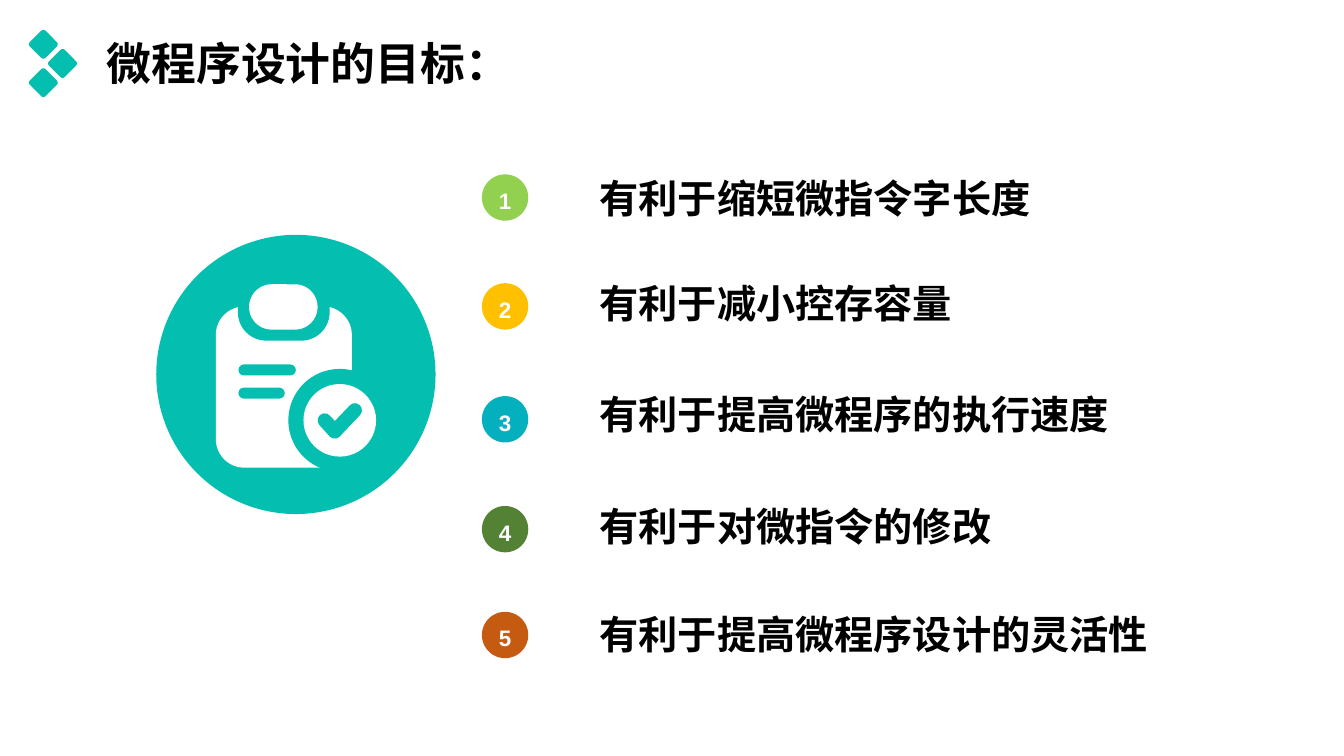
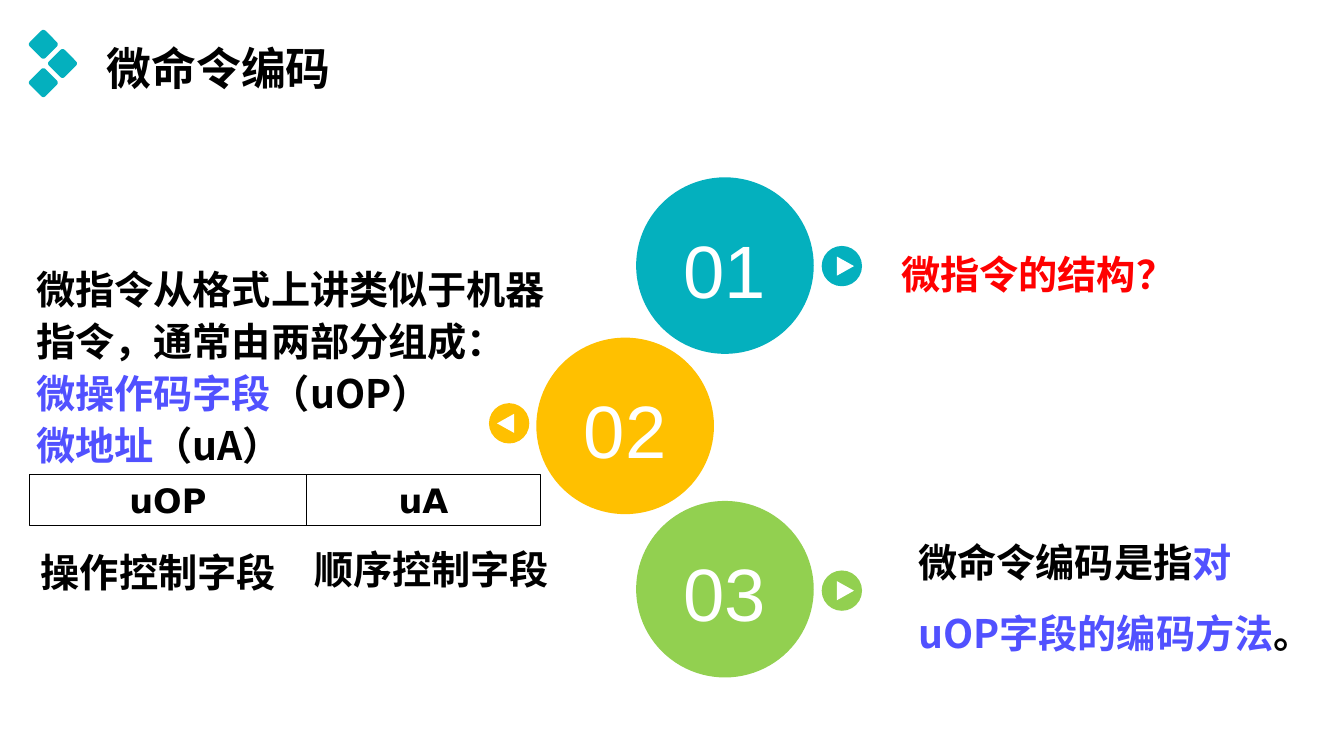
import math

from lxml import etree
from pptx import Presentation
from pptx import util as u
from pptx.dml.color import RGBColor
from pptx.enum import shapes, text
from pptx.oxml import ns

COLORS = {
    "mint": "04BEB0", "teal": "04B0BE", "yellow": "FFC000", "lime": "92D050",
    "green": "548235", "rust": "C55A11", "violet": "5151FF", "red": "FF0000",
    "black": "000000", "white": "FFFFFF",
}
SHAPE = shapes.MSO_SHAPE
CENTER = text.PP_ALIGN.CENTER
MIDDLE = text.MSO_ANCHOR.MIDDLE
CJK_FONT = "Noto Sans CJK SC"


class Slides:
    """The shared style and the page being drawn."""

    def __init__(self):
        self.deck = Presentation()
        self.deck.slide_width = u.Inches(13.33)
        self.deck.slide_height = u.Inches(7.5)
        self.page = None

    def add_page(self, title, title_top, accent):
        self.page = self.deck.slides.add_slide(self.deck.slide_layouts[6])
        for x, y in [(0.43, 0.44), (0.62, 0.63), (0.43, 0.82)]:
            diamond = self.shape(SHAPE.ROUNDED_RECTANGLE, x - 0.11, y - 0.11,
                                 0.22, 0.22, accent, corner=0.13)
            diamond.rotation = 45
        self.text(0.96, title_top, 6.53, 0.64, [title], size=32)

    def color(self, name):
        return RGBColor.from_string(COLORS[name])

    def font(self, para, size, color, name, bold):
        font = para.font
        font.size, font.bold, font.name = u.Pt(size), bold, name
        font.color.rgb = self.color(color)
        style = para._p.pPr.find(ns.qn("a:defRPr"))
        etree.SubElement(style, ns.qn("a:ea")).set("typeface", name)

    def shape(self, kind, x, y, width, height, fill=None, line=None,
              line_width=0.75, corner=None):
        shape = self.page.shapes.add_shape(
            kind, *map(u.Inches, (x, y, width, height)))
        shape.shadow.inherit = False
        if corner is not None:
            shape.adjustments[0] = corner
        if fill:
            shape.fill.solid()
            shape.fill.fore_color.rgb = self.color(fill)
        else:
            shape.fill.background()
        if line:
            shape.line.color.rgb = self.color(line)
            shape.line.width = u.Pt(line_width)
        else:
            shape.line.fill.background()
        return shape

    def label(self, shape, words, size, color, font, bold=True, drop=0):
        """Centre words in a shape; drop is extra room above them."""
        frame = shape.text_frame
        frame.word_wrap = False
        frame.vertical_anchor = MIDDLE
        frame.margin_left = frame.margin_right = frame.margin_bottom = 0
        frame.margin_top = u.Inches(drop)
        para = frame.paragraphs[0]
        para.text, para.alignment = words, CENTER
        self.font(para, size, color, font, bold)

    def disc(self, x, y, width, height, fill, words, size, bold, line=None):
        disc = self.shape(SHAPE.OVAL, x, y, width, height, fill, line, 3)
        self.label(disc, words, size, "white", "Arial", bold, drop=0.06)

    def text(self, x, y, width, height, paragraphs, size=28, color="black",
             spacing=1.0, align=None):
        """A paragraph is a string or a list of (words, colour) spans."""
        box = self.page.shapes.add_textbox(
            *map(u.Inches, (x, y, width, height)))
        frame = box.text_frame
        frame.word_wrap = True
        for index, spans in enumerate(paragraphs):
            para = frame.add_paragraph() if index else frame.paragraphs[0]
            para.line_spacing = spacing
            para.alignment = align
            self.font(para, size, color, CJK_FONT, True)
            if isinstance(spans, str):
                spans = [(spans, color)]
            for words, tint in spans:
                span = para.add_run()
                span.text = words
                if tint != color:
                    span.font.color.rgb = self.color(tint)

    def stroke(self, start, end, width, fill):
        """A thick bar with round ends between two points."""
        (x1, y1), (x2, y2) = start, end
        length = math.hypot(x2 - x1, y2 - y1) + width
        bar = self.shape(SHAPE.ROUNDED_RECTANGLE, (x1 + x2 - length) / 2,
                         (y1 + y2 - width) / 2, length, width, fill,
                         corner=0.5)
        bar.rotation = math.degrees(math.atan2(y2 - y1, x2 - x1))

    def pointer(self, x, y, fill, direction):
        """A small disc with a triangle: direction 1 is right, -1 is left."""
        self.shape(SHAPE.OVAL, x, y, 0.4, 0.4, fill)
        middle = x + 0.2 + 0.035 * direction
        triangle = self.shape(SHAPE.ISOSCELES_TRIANGLE, middle - 0.095,
                              y + 0.115, 0.19, 0.17, "white")
        triangle.rotation = 90 * direction

    def clipboard(self):
        rounded = SHAPE.ROUNDED_RECTANGLE
        self.shape(SHAPE.OVAL, 1.55, 2.33, 2.77, 2.77, "mint")
        # Board and clip
        self.shape(rounded, 2.14, 3.04, 1.35, 1.6, "white", corner=0.21)
        self.shape(rounded, 2.36, 2.71, 0.91, 0.67, "mint", corner=0.42)
        self.shape(rounded, 2.47, 2.82, 0.68, 0.45, "white", corner=0.5)
        # Written lines
        for y, right in [(3.67, 2.88), (3.9, 2.77)]:
            self.stroke((2.42, y), (right, y), 0.11, "mint")
        # Check mark in a ring
        for radius, fill in [(0.51, "mint"), (0.36, "white")]:
            self.shape(SHAPE.OVAL, 3.37 - radius, 4.17 - radius,
                       2 * radius, 2 * radius, fill)
        corner = (3.32, 4.28)
        for tip in [(3.22, 4.17), (3.52, 4.07)]:
            self.stroke(tip, corner, 0.14, "mint")


def goals(slides):
    slides.add_page("微程序设计的目标：", 0.31, "mint")
    slides.clipboard()
    # Numbered goals: colour, badge top, text top, words
    rows = [
        ("lime", 1.73, 1.68, "有利于缩短微指令字长度"),
        ("yellow", 2.81, 2.72, "有利于减小控存容量"),
        ("teal", 3.93, 3.82, "有利于提高微程序的执行速度"),
        ("green", 5.02, 4.93, "有利于对微指令的修改"),
        ("rust", 6.07, 6.01, "有利于提高微程序设计的灵活性"),
    ]
    for number, (fill, badge_top, text_top, words) in enumerate(rows, 1):
        slides.disc(4.78, badge_top, 0.46, 0.46, fill, str(number), 16, True)
        slides.text(5.85, text_top, 6.2, 0.57, [words])


def encoding(slides):
    slides.add_page("微命令编码", 0.36, "teal")
    # Large numbers and their pointers
    steps = [
        ("01", 6.33, 1.78, "teal", 8.15, 2.44, 1),
        ("02", 5.34, 3.37, "yellow", 4.85, 4.0, -1),
        ("03", 6.33, 4.99, "lime", 8.15, 5.66, 1),
    ]
    for words, x, y, fill, pointer_x, pointer_y, direction in steps:
        slides.disc(x, y, 1.72, 1.71, fill, words, 53, False, line=fill)
        slides.pointer(pointer_x, pointer_y, fill, direction)
    # Explanations
    slides.text(8.84, 2.2, 3.2, 0.81, ["微指令的结构？"],
                color="red", spacing=1.5)
    slides.text(0.26, 2.54, 5.4, 2.17, [
        "微指令从格式上讲类似于机器指令，通常由两部分组成：",
        [("微操作码字段", "violet"), ("（uOP）", "black")],
        [("微地址", "violet"), ("（uA）", "black")],
    ], spacing=1.1)
    slides.text(9.01, 5.06, 3.96, 1.51, [
        [("微命令编码是指", "black"), ("对uOP字段的编码方法", "violet"),
         ("。", "black")],
    ], spacing=1.5)
    # Instruction format
    fields = [
        ("uOP", 0.29, 2.75, "操作控制字段", 0.29, 5.16),
        ("uA", 3.04, 2.32, "顺序控制字段", 3.0, 5.13),
    ]
    for words, x, width, caption, caption_x, caption_y in fields:
        field = slides.shape(SHAPE.RECTANGLE, x, 4.71, width, 0.5,
                             line="black")
        slides.label(field, words, 24, "black", "DejaVu Sans")
        slides.text(caption_x, caption_y, 2.56, 0.72, [caption],
                    spacing=1.5, align=CENTER)


def main():
    slides = Slides()
    goals(slides)
    encoding(slides)
    slides.deck.save("out.pptx")


if __name__ == "__main__":
    main()
